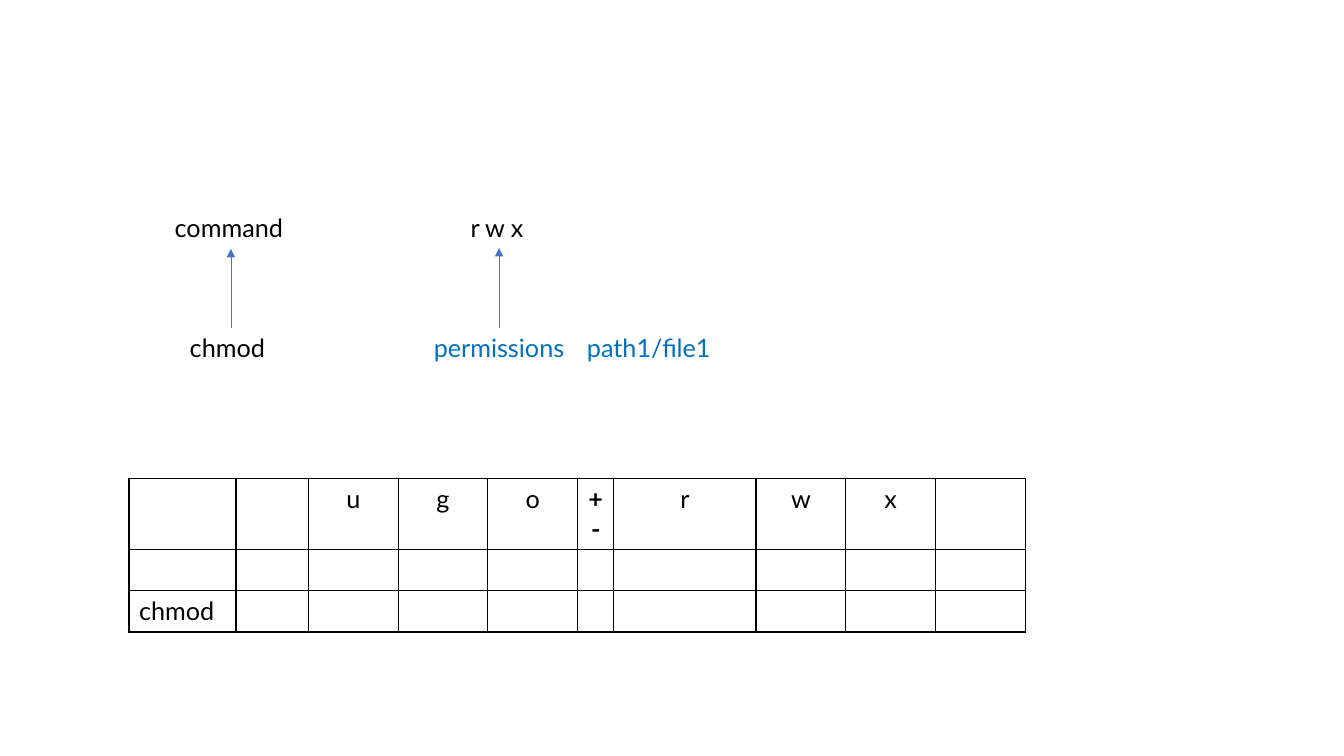
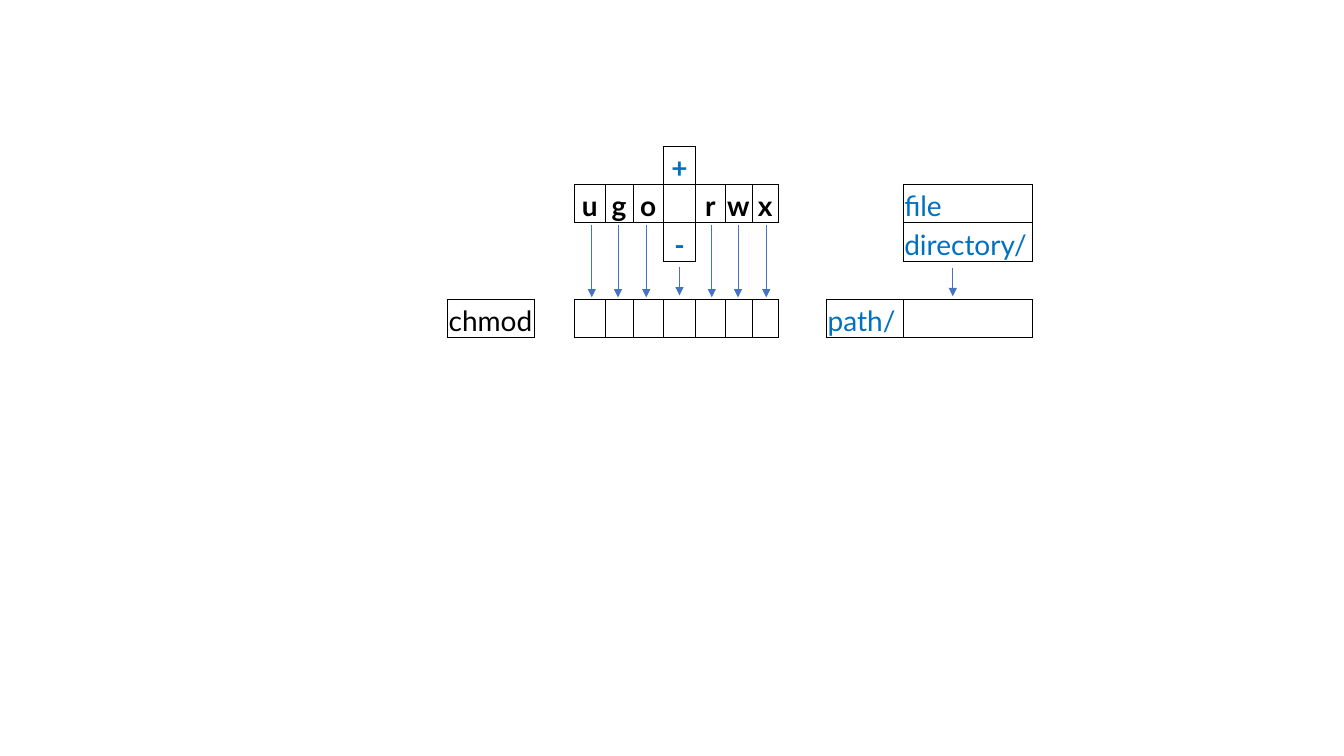
from dataclasses import dataclass

from lxml import etree
from pptx import Presentation
from pptx import util as u
from pptx.dml import color
from pptx.enum import shapes, text
from pptx.oxml import ns

EMU_PER_PX = 9144
FONT = "Lato"
BLACK = "000000"
BLUE = "0070C0"
ARROW_BLUE = "4472C4"
CENTER = text.PP_ALIGN.CENTER
LEFT = text.PP_ALIGN.LEFT


@dataclass(frozen=True)
class Label:
    text: str
    left: int
    top: int
    width: int
    color: str = BLACK


@dataclass(frozen=True)
class Arrow:
    x: int
    start: int
    end: int


@dataclass(frozen=True)
class Entry:
    text: str
    align: text.PP_ALIGN = CENTER
    color: str = BLACK
    bold: bool = False


@dataclass(frozen=True)
class Grid:
    left: int
    top: int
    columns: tuple[int, ...]
    rows: tuple[int, ...]
    entries: dict[tuple[int, int], Entry]
    boxed: set[tuple[int, int]]
    line_points: float
    size: int
    anchor: text.MSO_ANCHOR
    margins: tuple[int, int, int, int]


def px(value: int) -> u.Emu:
    return u.Emu(value * EMU_PER_PX)


def rgb(value: str) -> color.RGBColor:
    return color.RGBColor.from_string(value)


def write_text(frame, content: str, *, size: int, color: str = BLACK,
               bold: bool = False, align=LEFT) -> None:
    for index, line in enumerate(content.split("\n")):
        paragraph = frame.add_paragraph() if index else frame.paragraphs[0]
        paragraph.alignment = align
        run = paragraph.add_run()
        run.text = line
        run.font.name = FONT
        run.font.size = u.Pt(size)
        run.font.bold = bold
        run.font.color.rgb = rgb(color)


def add_label(slide, label: Label) -> None:
    shape = slide.shapes.add_textbox(px(label.left), px(label.top), px(label.width), px(40))
    shape.text_frame.word_wrap = True
    write_text(shape.text_frame, label.text, size=18, color=label.color, align=CENTER)


def add_arrow(slide, arrow: Arrow) -> None:
    connector = slide.shapes.add_connector(
        shapes.MSO_CONNECTOR.STRAIGHT, px(arrow.x), px(arrow.start), px(arrow.x), px(arrow.end))
    connector.line.color.rgb = rgb(ARROW_BLUE)
    connector.line.width = u.Pt(0.5)
    etree.SubElement(connector.line._get_or_add_ln(), ns.qn("a:tailEnd"), type="triangle")
    etree.SubElement(connector._element.spPr, ns.qn("a:effectLst"))


def set_border(cell, side: str, visible: bool, points: float) -> None:
    properties = cell._tc.get_or_add_tcPr()
    line = etree.SubElement(properties, ns.qn(f"a:ln{side}"), w=str(u.Pt(points)))
    if visible:
        fill = etree.SubElement(line, ns.qn("a:solidFill"))
        etree.SubElement(fill, ns.qn("a:srgbClr"), val=BLACK)
    else:
        etree.SubElement(line, ns.qn("a:noFill"))


def add_grid(slide, grid: Grid) -> None:
    table = slide.shapes.add_table(
        len(grid.rows), len(grid.columns), px(grid.left), px(grid.top),
        px(sum(grid.columns)), px(sum(grid.rows))).table
    table.first_row = table.horz_banding = False
    for column, width in zip(table.columns, grid.columns):
        column.width = px(width)
    for row, height in zip(table.rows, grid.rows):
        row.height = px(height)
    for row in range(len(grid.rows)):
        for column in range(len(grid.columns)):
            cell = table.cell(row, column)
            neighbours = {"L": (row, column - 1), "R": (row, column + 1),
                          "T": (row - 1, column), "B": (row + 1, column)}
            for side, neighbour in neighbours.items():
                visible = bool({(row, column), neighbour} & grid.boxed)
                set_border(cell, side, visible, grid.line_points)
            cell.fill.background()
            cell.vertical_anchor = grid.anchor
            (cell.margin_left, cell.margin_top,
             cell.margin_right, cell.margin_bottom) = map(px, grid.margins)
            entry = grid.entries.get((row, column))
            if entry:
                write_text(cell.text_frame, entry.text, size=grid.size, color=entry.color,
                           bold=entry.bold, align=entry.align)


SYNTAX_LABELS = (
    Label("chmod", 172, 325, 107),
    Label("path1/file1", 571, 325, 145, BLUE),
    Label("permissions", 418, 325, 154, BLUE),
    Label("r w x", 454, 206, 78),
    Label("command", 160, 206, 134),
)
SYNTAX_ARROWS = (Arrow(229, 325, 247), Arrow(495, 325, 246))
SYNTAX_COLUMNS = (106, 72, 89, 89, 89, 36, 141, 89, 89, 89)
SYNTAX_GRID = Grid(
    left=128, top=475, columns=SYNTAX_COLUMNS, rows=(70, 41, 41),
    entries={
        **{(0, column): Entry(letter)
           for column, letter in zip((2, 3, 4, 6, 7, 8), "ugorwx")},
        (0, 5): Entry("+\n-", bold=True),
        (2, 0): Entry("chmod", LEFT),
    },
    boxed={(row, column) for row in range(3) for column in range(len(SYNTAX_COLUMNS))},
    line_points=1, size=18, anchor=text.MSO_ANCHOR.TOP, margins=(10, 5, 10, 5))

MODE_COLUMNS = range(2, 9)
MODE_ARROWS = (
    *(Arrow(x, 223, 295) for x in (587, 613, 641, 706, 732, 760)),
    Arrow(674, 265, 293),
    Arrow(945, 266, 294),
)
MODE_GRID = Grid(
    left=444, top=145,
    columns=(86, 40, 30, 28, 30, 32, 29, 27, 26, 48, 76, 128), rows=(38,) * 5,
    entries={
        **{(1, column): Entry(letter, bold=True)
           for column, letter in zip((2, 3, 4, 6, 7, 8), "ugorwx")},
        (0, 5): Entry("+", color=BLUE, bold=True),
        (2, 5): Entry("-", color=BLUE, bold=True),
        (1, 11): Entry("file", LEFT, BLUE),
        (2, 11): Entry("directory/", LEFT, BLUE),
        (4, 0): Entry("chmod", LEFT),
        (4, 10): Entry("path/", LEFT, BLUE),
    },
    boxed={(row, column) for row in (1, 4) for column in MODE_COLUMNS}
    | {(0, 5), (2, 5), (1, 11), (2, 11), (4, 0), (4, 10), (4, 11)},
    line_points=0.5, size=20, anchor=text.MSO_ANCHOR.BOTTOM, margins=(1, 1, 1, 0))


def add_diagram(presentation, labels: tuple[Label, ...], grid: Grid,
                arrows: tuple[Arrow, ...]) -> None:
    slide = presentation.slides.add_slide(presentation.slide_layouts[6])
    for label in labels:
        add_label(slide, label)
    add_grid(slide, grid)
    for arrow in arrows:
        add_arrow(slide, arrow)


def main() -> None:
    presentation = Presentation()
    presentation.slide_width = px(1333)
    presentation.slide_height = px(750)
    add_diagram(presentation, SYNTAX_LABELS, SYNTAX_GRID, SYNTAX_ARROWS)
    add_diagram(presentation, (), MODE_GRID, MODE_ARROWS)
    presentation.save("out.pptx")


if __name__ == "__main__":
    main()
